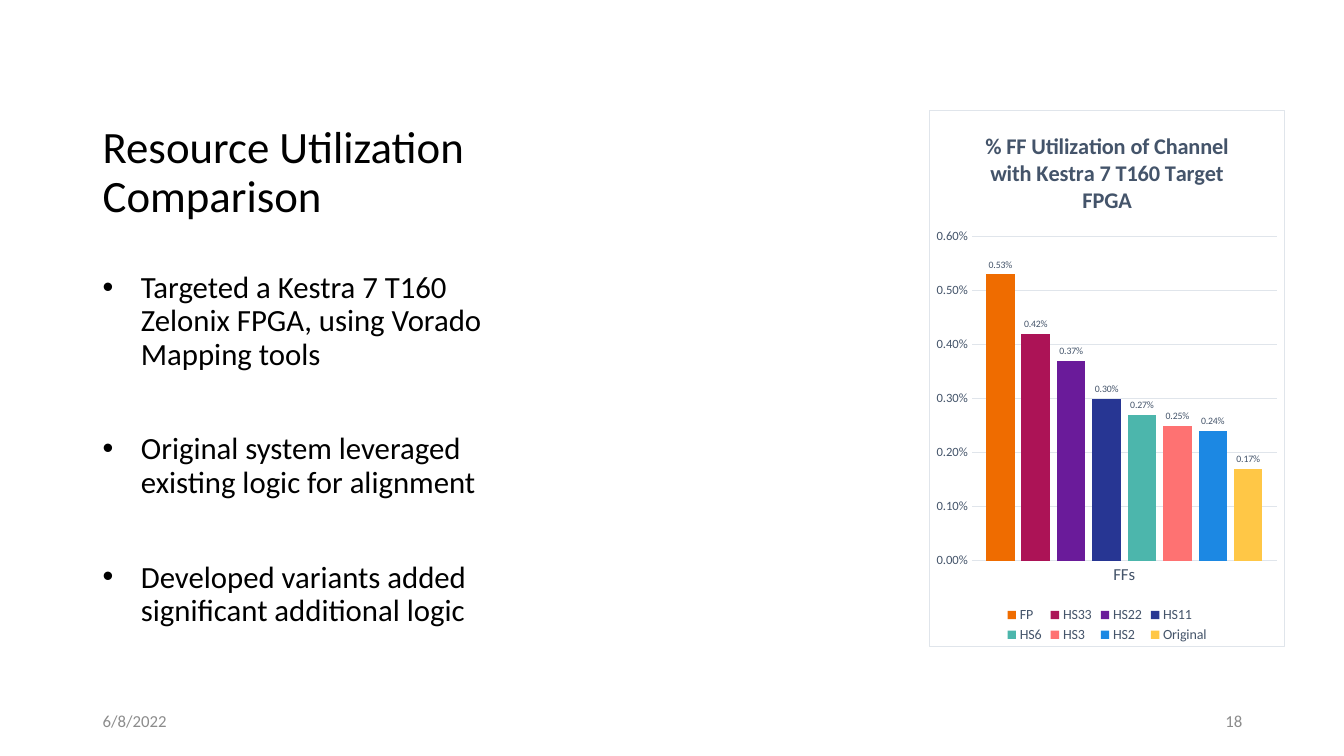
from lxml import etree
from pptx import Presentation
from pptx.chart.data import CategoryChartData
from pptx.dml.color import RGBColor
from pptx.enum.chart import XL_CHART_TYPE as ChartType, XL_LABEL_POSITION as LabelPosition
from pptx.enum.chart import XL_LEGEND_POSITION as LegendPosition, XL_TICK_MARK as TickMark
from pptx.enum.text import MSO_ANCHOR as Anchor, PP_ALIGN as Align
from pptx.oxml import parse_xml
from pptx.oxml.ns import nsdecls, qn
from pptx.util import Inches, Pt

FONT = "Calibri"
BLACK, GREY, SLATE, RULE = "000000", "8C8C8C", "44546A", "E0E5EB"
TITLE = "Resource Utilization Comparison"
BULLETS = [
    "Targeted a Kestra 7 T160 Zelonix FPGA, using Vorado Mapping tools",
    "Original system leveraged existing logic for alignment",
    "Developed variants added significant additional logic",
]
DATE, PAGE_NUMBER = "6/8/2022", "18"
CHART_TITLE = "% FF Utilization of Channel with Kestra 7 T160 Target FPGA"
VARIANTS = [
    ("FP", 0.0053, "EF6C00"),
    ("HS33", 0.0042, "AC1356"),
    ("HS22", 0.0037, "6A1B9A"),
    ("HS11", 0.003, "273693"),
    ("HS6", 0.0027, "4CB6AC"),
    ("HS3", 0.0025, "FE7272"),
    ("HS2", 0.0024, "1C88E3"),
    ("Original", 0.0017, "FFC746"),
]
PLOT_LAYOUT = {"x": 0.12, "y": 0.235, "w": 0.857, "h": 0.605}
PERCENT = "0.00%"


def color(value):
    return RGBColor.from_string(value)


def style_font(font, size, ink, bold=False):
    font.name, font.size, font.bold = FONT, Pt(size), bold
    font.color.rgb = color(ink)


def style_line(line):
    line.color.rgb, line.width = color(RULE), Pt(0.75)


def add_text(page, area, lines, size, ink=BLACK, anchor=Anchor.TOP, align=Align.LEFT,
             spacing=1.0, gap=0, bullet_indent=None):
    box = page.shapes.add_textbox(*map(Inches, area))
    frame = box.text_frame
    frame.word_wrap, frame.vertical_anchor = True, anchor
    for index, line in enumerate(lines):
        para = frame.paragraphs[0] if index == 0 else frame.add_paragraph()
        para.alignment, para.line_spacing = align, spacing
        para.space_before = Pt(gap if index else 0)
        span = para.add_run()
        span.text = line
        style_font(span.font, size, ink)
        if bullet_indent:
            props = para._p.get_or_add_pPr()
            props.set("marL", str(Inches(bullet_indent)))
            props.set("indent", str(-Inches(bullet_indent)))
            etree.SubElement(props, qn("a:buFont")).set("typeface", "Arial")
            etree.SubElement(props, qn("a:buChar")).set("char", "•")


def add_utilization_chart(page, area):
    data = CategoryChartData(number_format=PERCENT)
    data.categories = ["FFs"]
    for name, share, _ in VARIANTS:
        data.add_series(name, [share])
    chart = page.shapes.add_chart(ChartType.COLUMN_CLUSTERED, *map(Inches, area), data).chart
    style_font(chart.font, 10, BLACK)

    chart.has_title = True
    heading = chart.chart_title.text_frame
    heading.text = CHART_TITLE
    style_font(heading.paragraphs[0].runs[0].font, 16, SLATE, bold=True)

    chart.has_legend = True
    chart.legend.position = LegendPosition.BOTTOM
    chart.legend.include_in_layout = False
    style_font(chart.legend.font, 10, SLATE)

    for axis, size in ((chart.category_axis, 12), (chart.value_axis, 9)):
        axis.major_tick_mark = axis.minor_tick_mark = TickMark.NONE
        style_font(axis.tick_labels.font, size, SLATE)
    style_line(chart.category_axis.format.line)
    values = chart.value_axis
    values.minimum_scale, values.maximum_scale, values.major_unit = 0, 0.006, 0.001
    values.tick_labels.number_format = PERCENT
    values.tick_labels.number_format_is_linked = False
    values.format.line.fill.background()
    style_line(values.major_gridlines.format.line)

    plot = chart.plots[0]
    plot.gap_width, plot.overlap, plot.vary_by_categories = 100, -24, False
    for series, (_, _, fill) in zip(plot.series, VARIANTS):
        series.format.fill.solid()
        series.format.fill.fore_color.rgb = color(fill)
        labels = series.data_labels
        labels.show_value, labels.position = True, LabelPosition.OUTSIDE_END
        labels.number_format, labels.number_format_is_linked = PERCENT, False
        style_font(labels.font, 7, SLATE)

    space = chart._chartSpace
    plot_area = space.find(".//" + qn("c:plotArea"))
    for old in plot_area.findall(qn("c:layout")):
        plot_area.remove(old)
    places = "".join(f'<c:{key} val="{value}"/>' for key, value in PLOT_LAYOUT.items())
    plot_area.insert(0, parse_xml(
        f'<c:layout {nsdecls("c")}><c:manualLayout><c:layoutTarget val="inner"/>'
        f'<c:xMode val="edge"/><c:yMode val="edge"/>{places}</c:manualLayout></c:layout>'))
    space.find(qn("c:chart")).addnext(parse_xml(
        f'<c:spPr {nsdecls("c", "a")}><a:solidFill><a:srgbClr val="FFFFFF"/></a:solidFill>'
        f'<a:ln w="{Pt(0.75)}"><a:solidFill><a:srgbClr val="{RULE}"/></a:solidFill></a:ln>'
        '</c:spPr>'))


deck = Presentation()
deck.slide_width, deck.slide_height = Inches(13.33), Inches(7.5)
page = deck.slides.add_slide(deck.slide_layouts[6])

add_text(page, (0.92, 0.5, 4.3, 1.75), [TITLE], 32, anchor=Anchor.BOTTOM, spacing=0.9)
add_text(page, (0.92, 2.65, 4.3, 3.77), BULLETS, 22, spacing=0.9, gap=44, bullet_indent=0.38)
add_text(page, (0.92, 6.95, 3, 0.4), [DATE], 12, ink=GREY, anchor=Anchor.MIDDLE)
add_text(page, (9.42, 6.95, 3, 0.4), [PAGE_NUMBER], 12, ink=GREY, anchor=Anchor.MIDDLE,
         align=Align.RIGHT)
add_utilization_chart(page, (9.21, 1.09, 3.54, 5.33))

deck.save("out.pptx")
